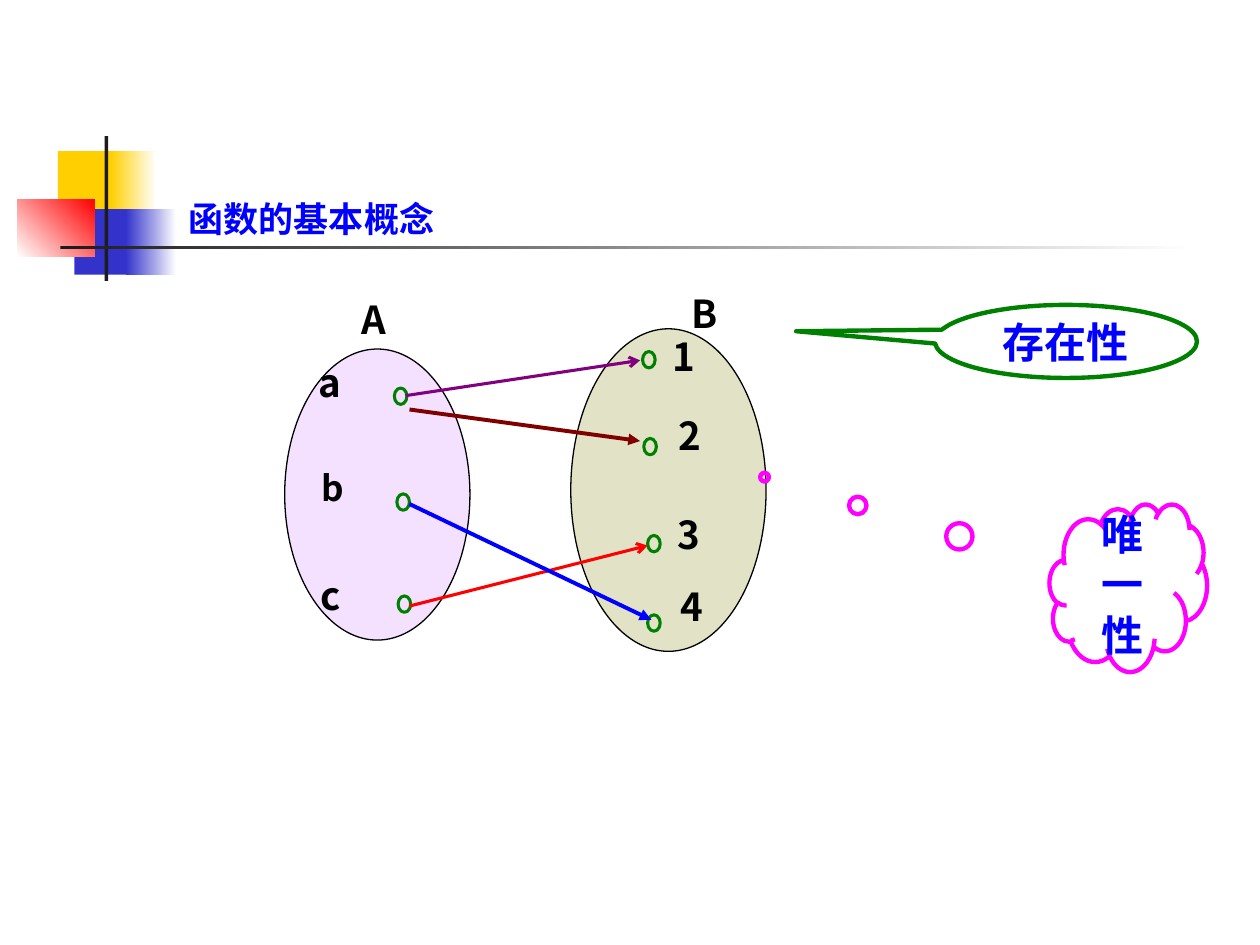
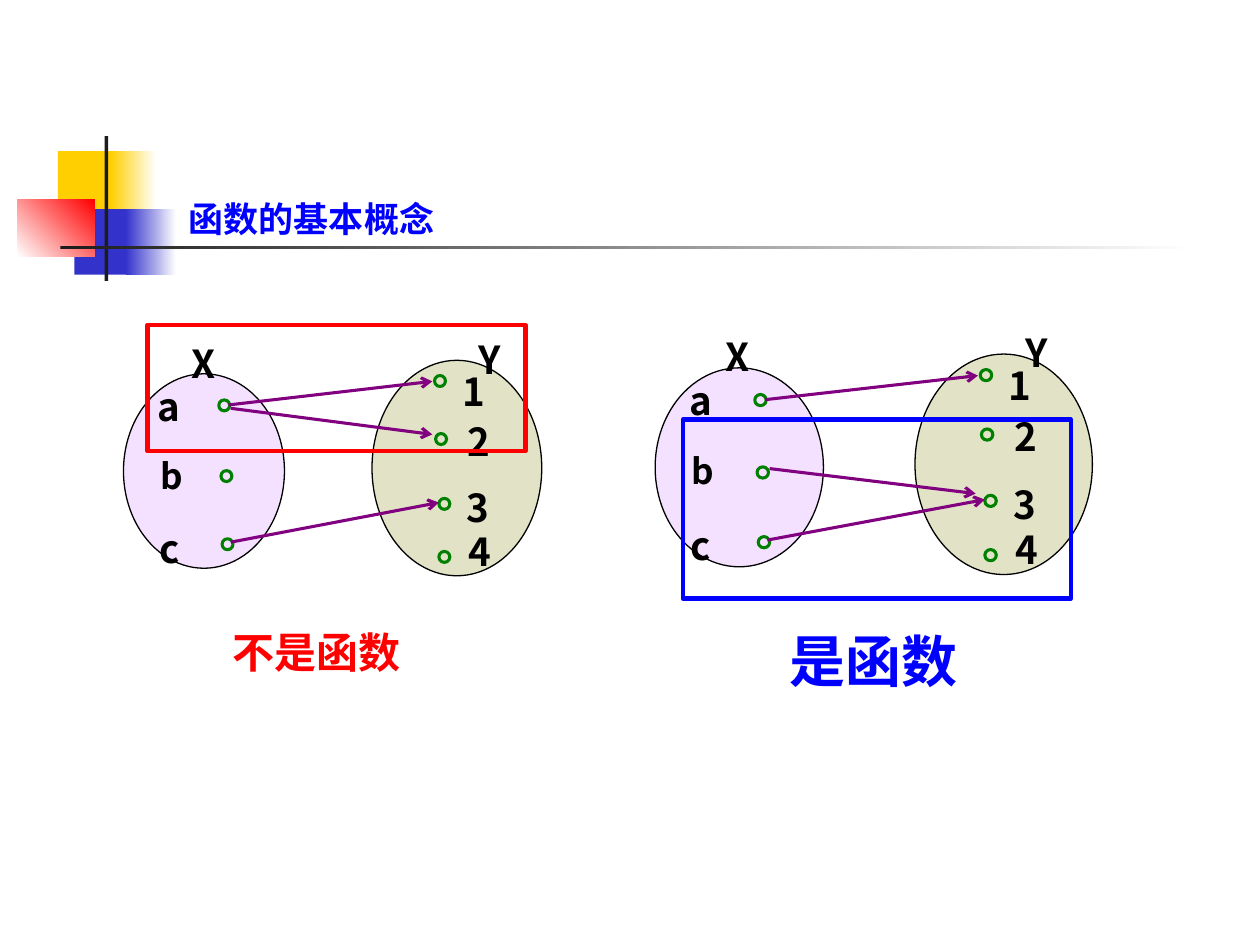
from lxml import etree
from pptx import Presentation
from pptx.dml.color import RGBColor
from pptx.enum.shapes import MSO_CONNECTOR, MSO_SHAPE
from pptx.enum.text import MSO_ANCHOR, MSO_AUTO_SIZE, PP_ALIGN
from pptx.oxml.ns import qn
from pptx.util import Inches, Pt

RECTANGLE = MSO_SHAPE.RECTANGLE
ELLIPSE = MSO_SHAPE.OVAL
OVAL_CALLOUT = MSO_SHAPE.OVAL_CALLOUT
CLOUD_CALLOUT = MSO_SHAPE.CLOUD_CALLOUT
STRAIGHT = MSO_CONNECTOR.STRAIGHT
FIT_TEXT = MSO_AUTO_SIZE.SHAPE_TO_FIT_TEXT
MIDDLE = MSO_ANCHOR.MIDDLE
LEFT, CENTER = PP_ALIGN.LEFT, PP_ALIGN.CENTER

FONT = "Noto Sans CJK SC"
CALLOUT_FONT = "Karla"
COLORS = {
    "black": "000000", "white": "FFFFFF", "dark": "1C1C1C",
    "yellow": "FFCF01", "indigo": "3333CC", "red": "FF0000",
    "blue": "0000FF", "green": "008000", "purple": "800080",
    "maroon": "800000", "magenta": "FF00FF",
    "domain": "F4E1FF", "codomain": "E1E2C6",
}

# Mapping diagram, laid out on a design box and scaled to the box it is given
DESIGN_SIZE = (3.82, 2.56)
DOT_SIZE = (0.1, 0.13)
DOTS = [(0.87, 0.47), (0.89, 1.31), (0.9, 2.12),
        (2.84, 0.18), (2.85, 0.87), (2.88, 1.64), (2.88, 2.27)]
# text, left, top, width, height, format
ELEMENT_LABELS = [
    ("a", -0.03, 0.19, 0.97, 0.47, {"indent": 0.2}),
    ("b", 0, 1.04, 0.94, 0.43, {"indent": 0.19, "size": 20}),
    ("c", -0.02, 1.88, 0.97, 0.47, {"indent": 0.2}),
    ("1", 2.98, -0.09, 0.45, 0.54, {"line_spacing": 1.2}),
    ("2", 3.03, 0.61, 0.45, 0.47, {}),
    ("3", 3.02, 1.4, 0.45, 0.47, {}),
    ("4", 3.04, 2.07, 0.45, 0.36, {"line_spacing": 0.7}),
]
A_TO_1 = ((0.96, 0.53), (2.82, 0.25))
A_TO_2 = ((0.98, 0.57), (2.82, 0.88))
B_TO_3 = ((1, 1.33), (2.8, 1.62))
C_TO_3 = ((0.98, 2.16), (2.88, 1.69))


def color(name):
    return RGBColor.from_string(COLORS[name])


def write_text(frame, text, font=FONT, size=22, text_color="black",
               align=LEFT, line_spacing=None):
    paragraph = frame.paragraphs[0]
    paragraph.alignment = align
    if line_spacing:
        paragraph.line_spacing = line_spacing
    run = paragraph.add_run()
    run.text = text
    run.font.name = font
    run.font.size = Pt(size)
    run.font.bold = True
    run.font.color.rgb = color(text_color)
    east_asian = etree.SubElement(run.font._element, qn("a:ea"))
    east_asian.set("typeface", FONT)


def add_text(shapes, text, box, wrap=True, indent=0, **text_format):
    text_box = shapes.add_textbox(*map(Inches, box))
    frame = text_box.text_frame
    frame.word_wrap = wrap
    frame.auto_size = FIT_TEXT
    frame.margin_left = Inches(0.1 + indent)
    write_text(frame, text, **text_format)


def add_shape(shapes, kind, box, fill=None, line=None, width=1.75):
    """A pair of fill colours makes a gradient."""
    shape = shapes.add_shape(kind, *map(Inches, box))
    shape.shadow.inherit = False
    if fill is None:
        shape.fill.background()
    elif isinstance(fill, tuple):
        shape.fill.gradient()
        shape.fill.gradient_angle = 0
        for stop, name in zip(shape.fill.gradient_stops, fill):
            stop.color.rgb = color(name)
    else:
        shape.fill.solid()
        shape.fill.fore_color.rgb = color(fill)
    if line:
        shape.line.color.rgb = color(line)
        shape.line.width = Pt(width)
    else:
        shape.line.fill.background()
    return shape


def add_arrow(shapes, start, end, line, width=1.75, head="arrow"):
    connector = shapes.add_connector(STRAIGHT, *map(Inches, (*start, *end)))
    connector.line.color.rgb = color(line)
    connector.line.width = Pt(width)
    line_element = connector.line._get_or_add_ln()
    etree.SubElement(line_element, qn("a:tailEnd")).set("type", head)
    etree.SubElement(connector._element.spPr, qn("a:effectLst"))


def add_callout(shapes, kind, text, box, pointer, line):
    callout = add_shape(shapes, kind, box, line=line, width=2.5)
    for index, value in enumerate(pointer):
        callout.adjustments[index] = value
    callout.text_frame.word_wrap = True
    callout.text_frame.vertical_anchor = MIDDLE
    write_text(callout.text_frame, text, font=CALLOUT_FONT, size=24,
               text_color="blue", align=CENTER)


def add_header(shapes, title, left, top):
    # Coloured squares, crossing bars and the title
    blocks = [
        (0.32, 0.12, 0.48, 0.52, "yellow"),
        (0.74, 0.12, 0.36, 0.52, ("yellow", "white")),
        (0.45, 0.58, 0.46, 0.52, "indigo"),
        (0.86, 0.58, 0.4, 0.52, ("indigo", "white")),
        (0, 0.5, 0.61, 0.46, ("white", "red")),
        (0.69, 0, 0.03, 1.15, "dark"),
        (0.34, 0.87, 9, 0.03, ("dark", "white")),
    ]
    for x, y, width, height, fill in blocks:
        block = add_shape(shapes, RECTANGLE, (left + x, top + y, width, height), fill)
        if fill == ("white", "red"):
            block.fill.gradient_angle = 45
    add_text(shapes, title, (left + 1.26, top + 0.44, 3.18, 0.43),
             size=20, text_color="blue")


def add_mapping(shapes, box, set_names, arrows):
    left, top, width, height = box
    scale_x, scale_y = width / DESIGN_SIZE[0], height / DESIGN_SIZE[1]

    def place(x, y):
        return left + x * scale_x, top + y * scale_y

    def scaled(x, y, w, h):
        return (*place(x, y), w * scale_x, h * scale_y)

    # The two sets
    add_shape(shapes, ELLIPSE, scaled(2.27, 0, 1.55, 2.56), "codomain", "black", 0.75)
    add_shape(shapes, ELLIPSE, scaled(0, 0.16, 1.47, 2.31), "domain", "black", 0.75)
    # Their elements and the arrows between them
    for dot in DOTS:
        add_shape(shapes, ELLIPSE, scaled(*dot, *DOT_SIZE), line="green")
    for (start, end), line_format in arrows:
        add_arrow(shapes, place(*start), place(*end), **line_format)
    # Labels keep their height, as the text size does not scale
    for text, x, y, w, h, text_format in ELEMENT_LABELS:
        add_text(shapes, text, (*place(x, y), w * scale_x, h), **text_format)
    for name, x, y in zip(set_names, (0.51, 3.13), (-0.31, -0.36)):
        add_text(shapes, name, (*place(x, y), 0.42, 0.47), wrap=False)


def add_slide(presentation):
    slide = presentation.slides.add_slide(presentation.slide_layouts[6])
    add_header(slide.shapes, "函数的基本概念", 0.14, 1.08)
    return slide.shapes


def build_conditions_slide(presentation):
    shapes = add_slide(presentation)
    add_mapping(shapes, (2.26, 2.61, *DESIGN_SIZE), "AB", [
        (A_TO_1, {"line": "purple"}),
        (((0.99, 2.2), (2.88, 1.72)), {"line": "red"}),
        (((0.99, 1.39), (2.91, 2.31)),
         {"line": "blue", "width": 2.25, "head": "triangle"}),
        (((0.99, 0.64), (2.82, 0.89)),
         {"line": "maroon", "width": 2.25, "head": "triangle"}),
    ])
    add_callout(shapes, OVAL_CALLOUT, "存在性", (7.42, 2.42, 2.08, 0.58),
                (-1.03, -0.14), "green")
    add_callout(shapes, CLOUD_CALLOUT, "唯一性", (8.33, 4, 1.25, 1.33),
                (-2.31, -0.66), "magenta")


def build_comparison_slide(presentation):
    shapes = add_slide(presentation)
    examples = [
        ((0.98, 2.86, 3.32, 1.71), (A_TO_1, A_TO_2, C_TO_3)),
        ((5.2, 2.81, 3.47, 1.75), (A_TO_1, B_TO_3, C_TO_3)),
    ]
    for box, arrows in examples:
        group = shapes.add_group_shape()
        add_mapping(group.shapes, box, "XY",
                    [(arrow, {"line": "purple"}) for arrow in arrows])
    # Verdicts, and frames around the arrows that decide them
    verdicts = [
        ("不是函数", (1.75, 4.92, 2.37, 0.5), 24, "red", (1.17, 2.58, 3, 1)),
        ("是函数", (6.17, 4.92, 2.33, 0.63), 32, "blue", (5.42, 3.33, 3.08, 1.42)),
    ]
    for text, box, size, name, frame_box in verdicts:
        add_text(shapes, text, box, size=size, text_color=name)
        add_shape(shapes, RECTANGLE, frame_box, line=name, width=2.5)


def main():
    presentation = Presentation()
    presentation.slide_width = Inches(10)
    presentation.slide_height = Inches(7.5)
    build_conditions_slide(presentation)
    build_comparison_slide(presentation)
    presentation.save("out.pptx")


if __name__ == "__main__":
    main()
